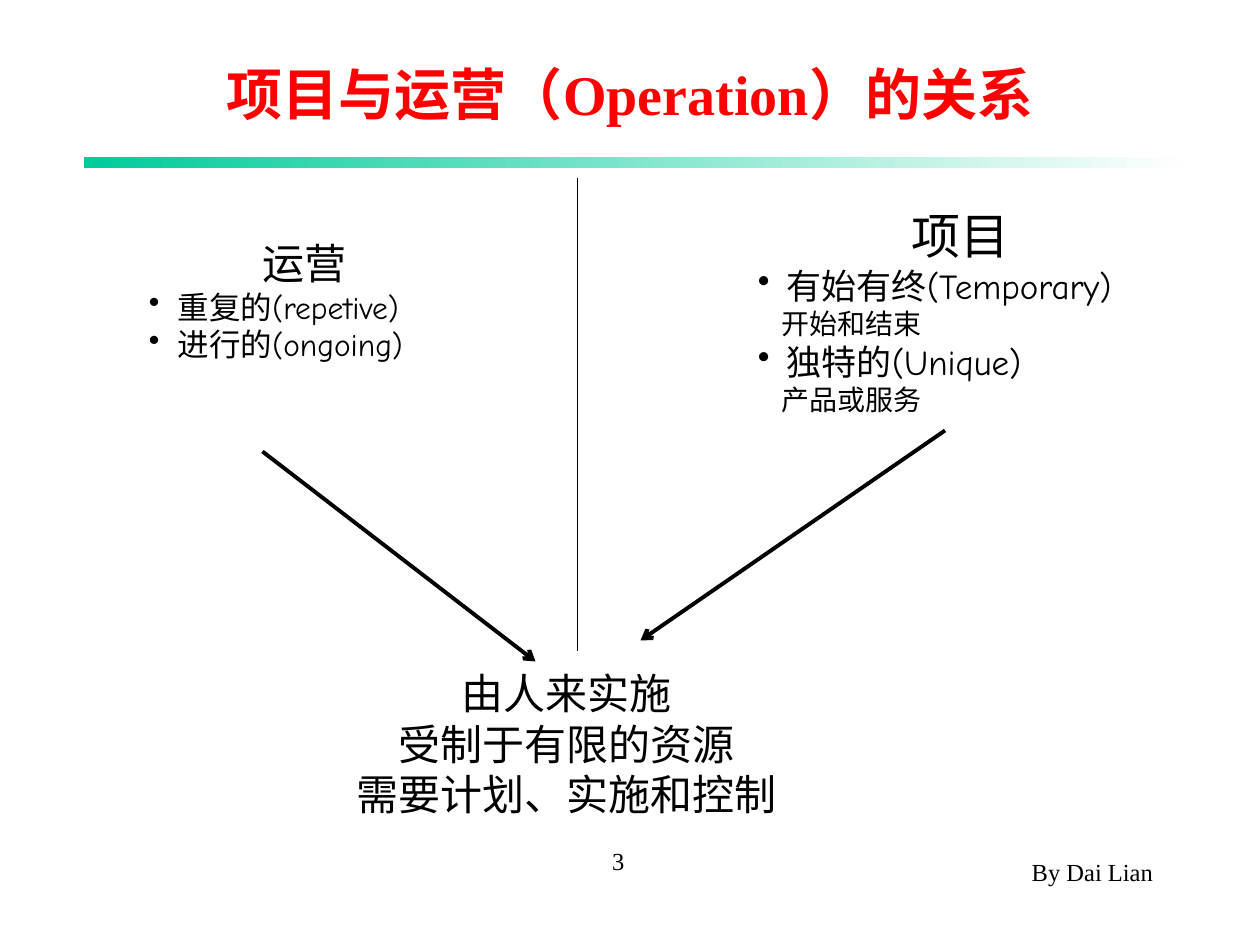
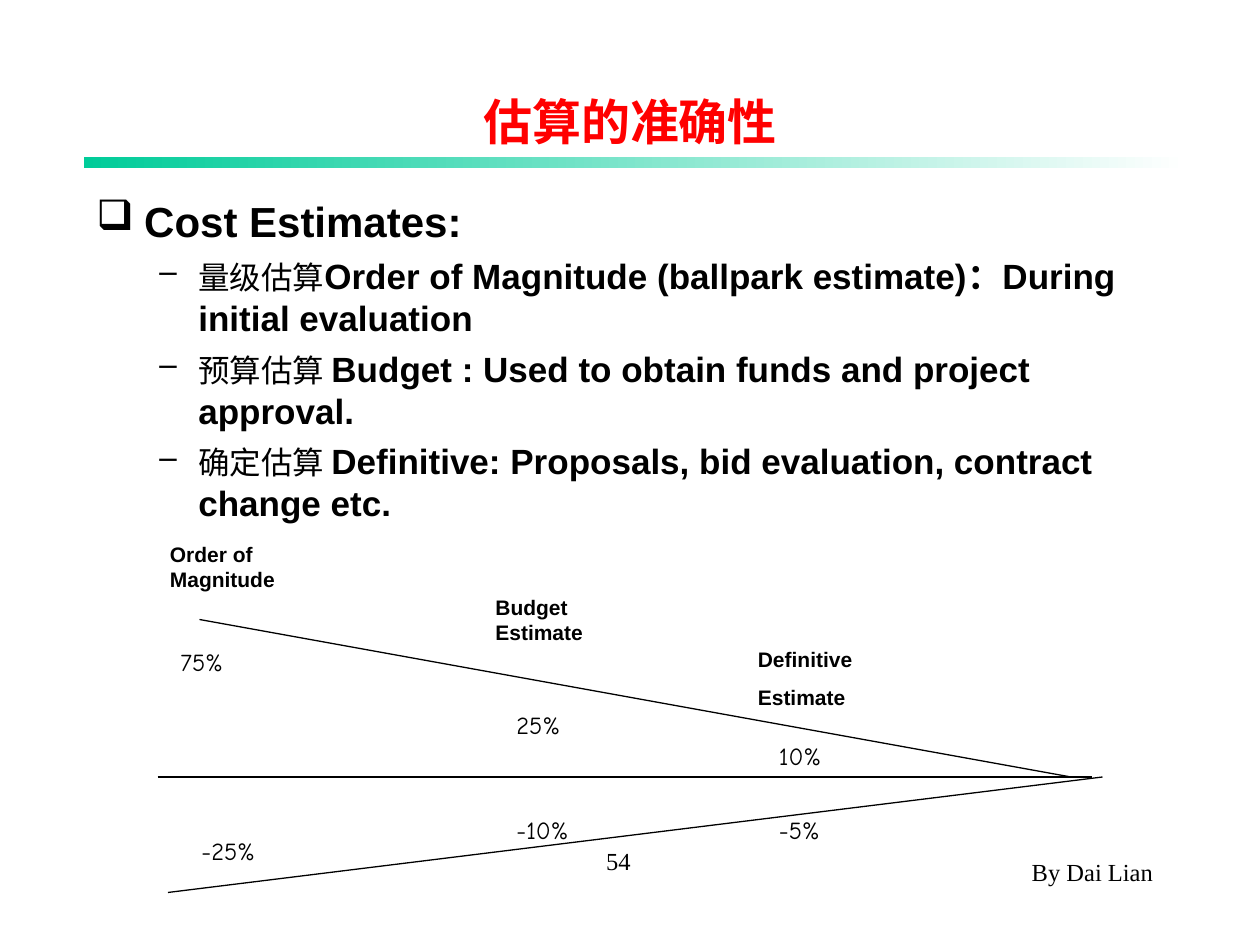
from dataclasses import dataclass

from lxml.etree import SubElement
from pptx import Presentation
from pptx.dml.color import RGBColor
from pptx.enum.shapes import MSO_CONNECTOR, MSO_SHAPE
from pptx.enum.text import MSO_ANCHOR, MSO_AUTO_SIZE, PP_ALIGN
from pptx.oxml.ns import qn
from pptx.util import Inches, Pt


@dataclass(frozen=True)
class Theme:
    """Colours, fonts and type sizes of the deck."""
    ink: str = "000000"
    title: str = "FF0000"
    band: str = "00CC99"
    paper: str = "FFFFFF"
    serif: str = "Times New Roman"
    sans: str = "Arial"
    hand: str = "Comic Neue"
    title_large: int = 32
    heading_large: int = 28
    heading: int = 24
    body: int = 20
    body_small: int = 18
    detail: int = 16
    note: int = 14
    label: int = 12


THEME = Theme()
WIDTH, HEIGHT = Inches(10), Inches(7.5)
COLUMNS, ROWS = 120, 90
TITLE_ONLY = 5


def across(columns):
    """Turn grid columns into a length."""
    return round(WIDTH * columns / COLUMNS)


def down(rows):
    """Turn grid rows into a length."""
    return round(HEIGHT * rows / ROWS)


def area(column, row, columns, rows):
    """Turn a grid area into left, top, width and height."""
    return across(column), down(row), across(columns), down(rows)


def add_span(para, text, size, font, bold=False, color=THEME.ink):
    """Add one formatted run to a paragraph."""
    span = para.add_run()
    span.text = text
    span.font.size = Pt(size)
    span.font.name = font
    span.font.bold = bold
    span.font.color.rgb = RGBColor.from_string(color)


def set_indent(para, left, hang, bullet):
    """Set a paragraph's left margin, hanging indent and bullet."""
    properties = para._p.get_or_add_pPr()
    properties.set("marL", str(Inches(left)))
    properties.set("indent", str(-Inches(hang)))
    if bullet:
        color = SubElement(properties, qn("a:buClr"))
        SubElement(color, qn("a:srgbClr"), val=THEME.ink)
        SubElement(properties, qn("a:buChar"), char=bullet)


def write(frame, text, size, font, align=PP_ALIGN.LEFT, before=0,
          left=0, hang=0, bullet=None, level=0, **span_format):
    """Write the next paragraph of a text frame and return it."""
    para = frame.add_paragraph() if frame.text else frame.paragraphs[0]
    para.alignment = align
    para.level = level
    para.space_before = Pt(before)
    if left or bullet:
        set_indent(para, left, hang, bullet)
    add_span(para, text, size, font, **span_format)
    return para


def add_box(slide, *place, grow=True):
    """Add a wrapping text box on a grid area and return its frame."""
    frame = slide.shapes.add_textbox(*area(*place)).text_frame
    frame.word_wrap = True
    frame.auto_size = MSO_AUTO_SIZE.SHAPE_TO_FIT_TEXT if grow else MSO_AUTO_SIZE.NONE
    return frame


def add_line(slide, start, end, weight=0.75, arrow=False):
    """Draw a straight line between two grid points."""
    line = slide.shapes.add_connector(
        MSO_CONNECTOR.STRAIGHT, across(start[0]), down(start[1]), across(end[0]), down(end[1]))
    line.line.color.rgb = RGBColor.from_string(THEME.ink)
    line.line.width = Pt(weight)
    if arrow:
        SubElement(line.line._get_or_add_ln(), qn("a:tailEnd"), type="arrow")
    SubElement(line._element.spPr, qn("a:effectLst"))


def add_band(slide):
    """Draw the fading band under the title."""
    band = slide.shapes.add_shape(MSO_SHAPE.RECTANGLE, *area(8, 15, 105, 1))
    band.shadow.inherit = False
    band.line.fill.background()
    band.fill.gradient()
    band.fill.gradient_angle = 180
    for stop, color in zip(band.fill.gradient_stops, (THEME.paper, THEME.band)):
        stop.color.rgb = RGBColor.from_string(color)


def add_footers(slide, number):
    """Add the page number and the author's name."""
    for text, align, place in (
        ("By Dai Lian", PP_ALIGN.RIGHT, (73, 81, 38, 6)),
        (number, PP_ALIGN.CENTER, (46.4, 80, 25, 6)),
    ):
        write(add_box(slide, *place, grow=False), text, THEME.note, THEME.serif,
              align=align, before=8.8)


def add_page(deck, title, size, place, number):
    """Add a slide with its title, band and footers."""
    slide = deck.slides.add_slide(deck.slide_layouts[TITLE_ONLY])
    holder = slide.shapes.title
    holder.left, holder.top, holder.width, holder.height = area(*place)
    frame = holder.text_frame
    frame.auto_size = MSO_AUTO_SIZE.NONE
    frame.vertical_anchor = MSO_ANCHOR.MIDDLE
    write(frame, title, size, THEME.serif, align=PP_ALIGN.CENTER, bold=True, color=THEME.title)
    add_band(slide)
    add_footers(slide, number)
    return slide


def add_traits(slide, place, heading, heading_size, traits, trait_size):
    """List bulleted traits, each with an optional detail, under a centred heading."""
    frame = add_box(slide, *place)
    write(frame, heading, heading_size, THEME.hand, align=PP_ALIGN.CENTER)
    for trait, detail in traits:
        write(frame, trait, trait_size, THEME.hand, left=0.23, hang=0.23, bullet="•")
        if detail:
            write(frame, detail, THEME.detail, THEME.hand, left=0.19)


def build_relation(deck):
    """Compare operations with projects and show what they share."""
    slide = add_page(deck, "项目与运营（Operation）的关系", THEME.title_large,
                     (0, 4.7, 120, 8.3), "3")
    add_traits(slide, (13, 22, 32, 16.8), "运营", THEME.heading,
               (("重复的(repetive)", None), ("进行的(ongoing)", None)), THEME.body_small)
    add_traits(slide, (71, 19, 41, 21.2), "项目", THEME.heading_large,
               (("有始有终(Temporary)", "开始和结束"), ("独特的(Unique)", "产品或服务")), THEME.body)
    add_line(slide, (55, 17), (55, 62))
    add_line(slide, (25, 43), (51, 63), weight=2.25, arrow=True)
    add_line(slide, (90, 41), (61, 61), weight=2.25, arrow=True)
    shared = add_box(slide, 24, 63, 60, 15.6)
    for text in ("由人来实施", "受制于有限的资源", "需要计划、实施和控制"):
        write(shared, text, THEME.heading, THEME.hand, align=PP_ALIGN.CENTER)


def add_estimate_list(slide):
    """List the kinds of cost estimate."""
    frame = add_box(slide, 8, 18, 102, 34, grow=False)
    write(frame, "Cost Estimates:", THEME.heading, THEME.sans, bold=True,
          before=6, left=0.38, hang=0.38, bullet="❑")
    for name, use in (
        ("量级估算", "Order of Magnitude (ballpark estimate)：During initial evaluation"),
        ("预算估算 ", "Budget : Used to obtain funds and project approval."),
        ("确定估算 ", "Definitive: Proposals, bid evaluation, contract change etc."),
    ):
        para = write(frame, name, THEME.body_small, THEME.serif, before=5,
                     left=0.81, hang=0.31, bullet="–", level=1)
        add_span(para, use, THEME.body, THEME.sans, bold=True)


def add_accuracy_funnel(slide):
    """Draw the narrowing error range with its stages and percentages."""
    for start, end in (((15, 74), (104, 74)), ((19, 59), (102, 74)), ((16, 85), (105, 74))):
        add_line(slide, start, end)
    for column, row, lines in (
        (15, 51, ["Order of Magnitude"]),
        (46, 56, ["Budget Estimate"]),
        (71, 61, ["Definitive", "Estimate"]),
    ):
        frame = add_box(slide, column, row, 14, 6)
        for text in lines:
            write(frame, text, THEME.label, THEME.sans, bold=True, before=7.5)
    for column, row, text in (
        (16, 61, "75%"), (18, 79, "-25%"),
        (48, 67, "25%"), (48, 77, "-10%"),
        (73, 70, "10%"), (73, 77, "-5%"),
    ):
        write(add_box(slide, column, row, 10, 4), text, THEME.note, THEME.hand, before=8.8)


def build_accuracy(deck):
    """Show how estimates grow more accurate."""
    slide = add_page(deck, "估算的准确性", THEME.heading_large, (9, 6, 102, 11), "54")
    add_estimate_list(slide)
    add_accuracy_funnel(slide)


def main():
    """Build and save the deck."""
    deck = Presentation()
    deck.slide_width, deck.slide_height = WIDTH, HEIGHT
    build_relation(deck)
    build_accuracy(deck)
    deck.save("out.pptx")


if __name__ == "__main__":
    main()
